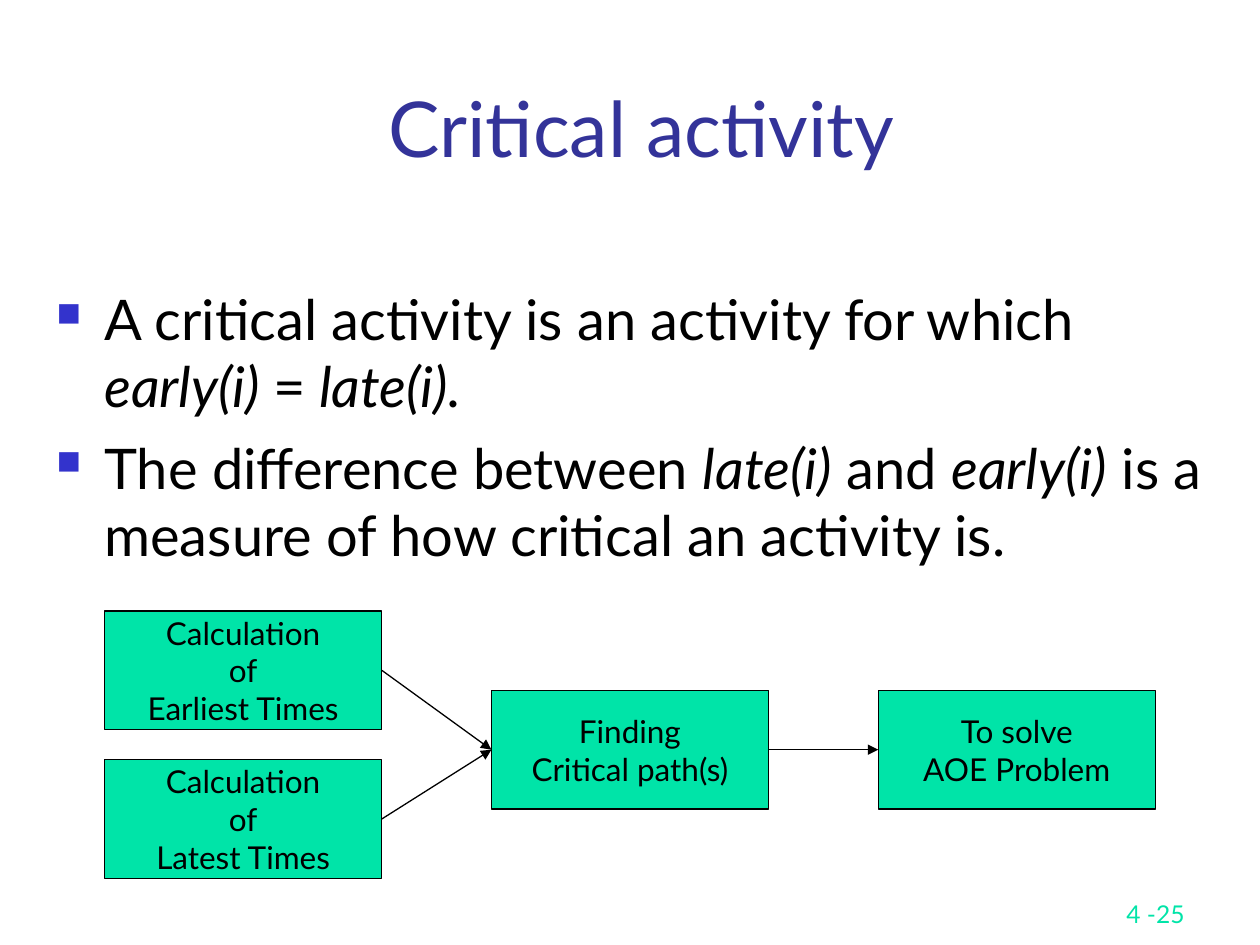
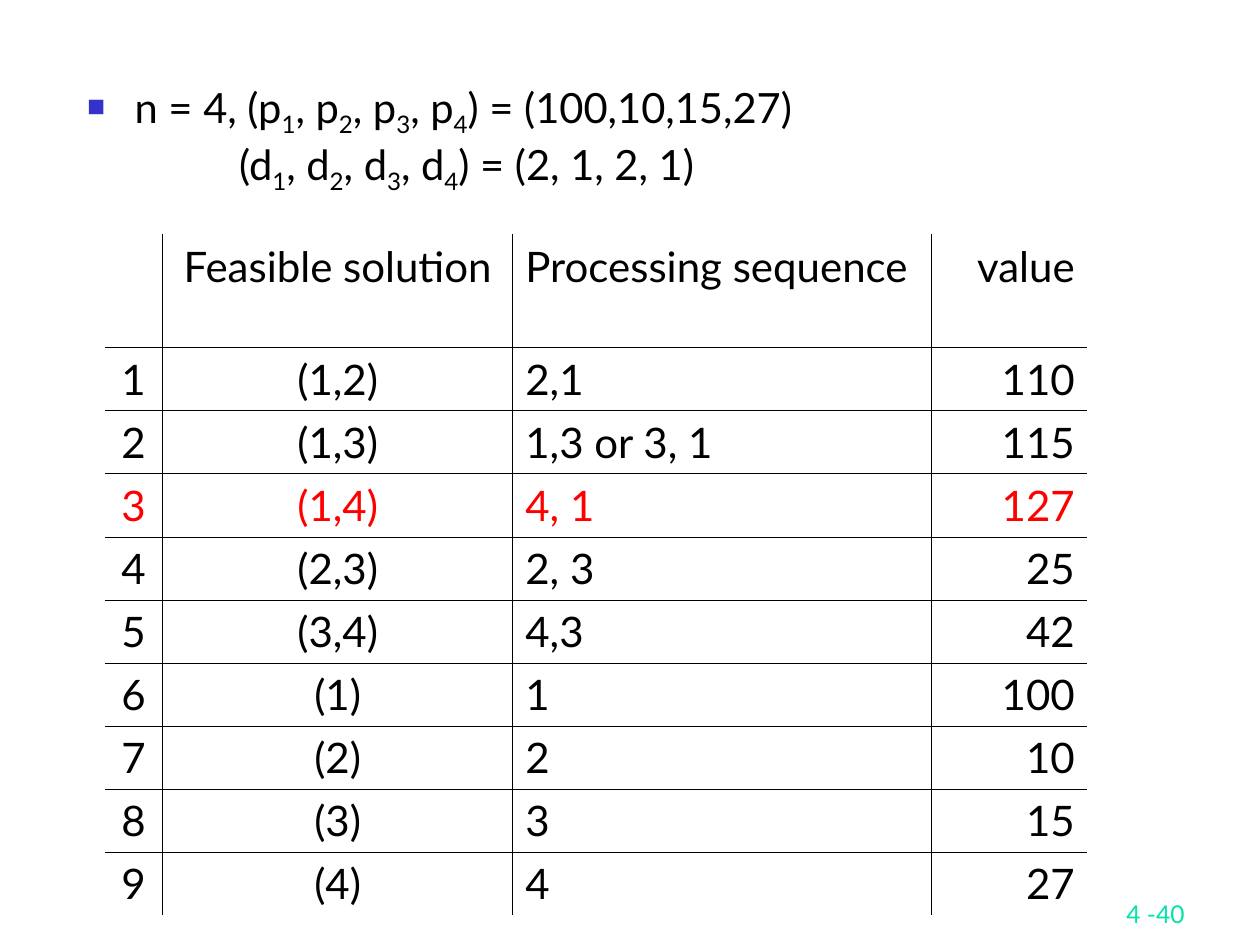
from dataclasses import dataclass
from typing import Any, NamedTuple

import lxml.etree
import pptx
import pptx.dml.color
import pptx.enum.shapes
import pptx.enum.text
import pptx.oxml.ns
import pptx.util

ALIGN = pptx.enum.text.PP_ALIGN
ANCHOR = pptx.enum.text.MSO_ANCHOR
PX = 9144
LEFT, RIGHT = 1, 3


@dataclass(frozen=True)
class Theme:
    font: str = "Lato"
    ink: str = "000000"
    title: str = "333399"
    bullet: str = "3333CC"
    accent: str = "00E4A8"
    highlight: str = "FF0000"
    title_size: float = 44
    body_size: float = 32
    example_size: float = 23.8
    table_size: float = 24
    box_size: float = 18
    footer_size: float = 14
    line_width: float = 0.75
    rule_width: float = 0.45


THEME = Theme()


class Rect(NamedTuple):
    x: int
    y: int
    w: int
    h: int


class Span(NamedTuple):
    text: str
    italic: bool = False
    sub: bool = False


class Style(NamedTuple):
    size: float
    color: str = THEME.ink
    align: Any = ALIGN.LEFT
    before: float = 0


class Step(NamedTuple):
    text: str
    column: int
    y: int


class Column(NamedTuple):
    heading: str
    width: int
    align: Any


FOOTER = Rect(742, 692, 208, 50)
TITLE = Rect(83, 42, 852, 100)
STEP_X, STEP_PITCH, STEP_W, STEP_H = 83, 307, 220, 94
HANGING = 38

STEPS = {
    "earliest": Step("Calculation\nof\nEarliest Times", 0, 485),
    "latest": Step("Calculation\nof\nLatest Times", 0, 603),
    "paths": Step("Finding\nCritical path(s)", 1, 548),
    "solve": Step("To solve\nAOE Problem", 2, 548),
}
ARROWS = [("earliest", "paths"), ("latest", "paths"), ("paths", "solve")]

DEFINITIONS = [
    [
        Span("A critical activity is an activity for which "),
        Span("early(i) ", italic=True),
        Span("="),
        Span(" late(i).", italic=True),
    ],
    [
        Span("The difference between "),
        Span("late(i)", italic=True),
        Span(" and "),
        Span("early(i)", italic=True),
        Span(" is a measure of how critical an activity is."),
    ],
]

COLUMNS = [
    Column("", 46, ALIGN.CENTER),
    Column("Feasible solution", 278, ALIGN.CENTER),
    Column("Processing sequence", 332, ALIGN.LEFT),
    Column("value", 124, ALIGN.RIGHT),
]
SOLUTIONS = [
    ("(1,2)", "2,1", "110"),
    ("(1,3)", "1,3 or 3, 1", "115"),
    ("(1,4)", "4, 1", "127"),
    ("(2,3)", "2, 3", "25"),
    ("(3,4)", "4,3", "42"),
    ("(1)", "1", "100"),
    ("(2)", "2", "10"),
    ("(3)", "3", "15"),
    ("(4)", "4", "27"),
]
BEST_ROW = 3
HEADER_H, ROW_H = 90, 50


def px(n: int) -> int:
    return pptx.util.Emu(n * PX)


def place(rect: Rect) -> list[int]:
    return [px(n) for n in rect]


def rgb(color: str) -> Any:
    return pptx.dml.color.RGBColor.from_string(color)


def apply(target: Any, values: dict[str, Any]) -> None:
    for name, value in values.items():
        setattr(target, name, value)


def child(parent: Any, tag: str, **attrs: str) -> Any:
    node = lxml.etree.SubElement(parent, pptx.oxml.ns.qn(tag))
    for name, value in attrs.items():
        node.set(name, value)
    return node


def write(p: Any, spans: list[Span], style: Style) -> None:
    apply(p, {"alignment": style.align, "space_before": pptx.util.Pt(style.before)})
    for span in spans:
        for i, line in enumerate(span.text.split("\n")):
            if i:
                p.add_line_break()
            r = p.add_run()
            r.text = line
            apply(r.font, {
                "name": THEME.font,
                "size": pptx.util.Pt(style.size),
                "italic": span.italic,
            })
            r.font.color.rgb = rgb(style.color)
            if span.sub:
                r.font._element.set("baseline", "-25000")


def indent(p: Any, left: int, first: int = 0) -> None:
    p_pr = p._p.get_or_add_pPr()
    p_pr.set("marL", str(px(left)))
    p_pr.set("indent", str(px(first)))


def bullet(p: Any) -> None:
    indent(p, HANGING, -HANGING)
    p_pr = p._p.get_or_add_pPr()
    child(child(p_pr, "a:buClr"), "a:srgbClr", val=THEME.bullet)
    child(p_pr, "a:buSzPct", val="60000")
    child(p_pr, "a:buChar", char="■")


def add_text(s: Any, rect: Rect, paragraphs: list[list[Span]], style: Style,
             anchor: Any = ANCHOR.TOP) -> list[Any]:
    tf = s.shapes.add_textbox(*place(rect)).text_frame
    apply(tf, {"word_wrap": True, "vertical_anchor": anchor})
    for i, spans in enumerate(paragraphs):
        write(tf.add_paragraph() if i else tf.paragraphs[0], spans, style)
    return list(tf.paragraphs)


def add_slide(prs: Any, number: int) -> Any:
    s = prs.slides.add_slide(prs.slide_layouts[6])
    style = Style(THEME.footer_size, THEME.accent, ALIGN.RIGHT)
    add_text(s, FOOTER, [[Span(f"4 -{number}")]], style, ANCHOR.BOTTOM)
    return s


def add_step(s: Any, step: Step) -> Any:
    rect = Rect(STEP_X + step.column * STEP_PITCH, step.y, STEP_W, STEP_H)
    kind = pptx.enum.shapes.MSO_SHAPE.FLOWCHART_PROCESS
    sp = s.shapes.add_shape(kind, *place(rect))
    sp.shadow.inherit = False
    sp.fill.solid()
    sp.fill.fore_color.rgb = rgb(THEME.accent)
    sp.line.color.rgb = rgb(THEME.ink)
    sp.line.width = pptx.util.Pt(THEME.line_width)
    apply(sp.text_frame, {"word_wrap": False, "vertical_anchor": ANCHOR.MIDDLE})
    style = Style(THEME.box_size, align=ALIGN.CENTER)
    write(sp.text_frame.paragraphs[0], [Span(step.text)], style)
    return sp


def add_arrow(s: Any, start: Any, end: Any) -> None:
    c = s.shapes.add_connector(pptx.enum.shapes.MSO_CONNECTOR.STRAIGHT, 0, 0, 0, 0)
    c.begin_connect(start, RIGHT)
    c.end_connect(end, LEFT)
    c.line.color.rgb = rgb(THEME.ink)
    c.line.width = pptx.util.Pt(THEME.line_width)
    child(c.line._get_or_add_ln(), "a:tailEnd", type="triangle")
    child(c._element.spPr, "a:effectLst")


def set_borders(cell: Any, inner: dict[str, bool]) -> None:
    tc_pr = cell._tc.get_or_add_tcPr()
    for i, (side, drawn) in enumerate(inner.items()):
        ln = child(tc_pr, f"a:ln{side}", w=str(pptx.util.Pt(THEME.rule_width)))
        if drawn:
            child(child(ln, "a:solidFill"), "a:srgbClr", val=THEME.ink)
        else:
            child(ln, "a:noFill")
        tc_pr.insert(i, ln)


def add_solutions(s: Any, x: int, y: int) -> None:
    rows = [tuple(c.heading for c in COLUMNS)]
    rows += [(str(n), *row) for n, row in enumerate(SOLUTIONS, 1)]
    heights = [HEADER_H] + [ROW_H] * len(SOLUTIONS)
    rect = Rect(x, y, sum(c.width for c in COLUMNS), sum(heights))
    table = s.shapes.add_table(len(rows), len(COLUMNS), *place(rect)).table
    apply(table, {"first_row": False, "horz_banding": False})
    for col, column in zip(table.columns, COLUMNS):
        col.width = px(column.width)
    for i, values in enumerate(rows):
        table.rows[i].height = px(heights[i])
        color = THEME.highlight if i == BEST_ROW else THEME.ink
        for j, text in enumerate(values):
            cell = table.cell(i, j)
            cell.fill.background()
            set_borders(cell, {
                "L": j > 0,
                "R": j < len(COLUMNS) - 1,
                "T": i > 0,
                "B": i < len(rows) - 1,
            })
            if text:
                style = Style(THEME.table_size, color, COLUMNS[j].align, 6)
                write(cell.text_frame.paragraphs[0], [Span(text)], style)


def indexed(lead: str, letter: str, tail: str) -> list[Span]:
    spans = []
    for n in range(1, 5):
        spans += [Span((lead if n == 1 else ", ") + letter), Span(str(n), sub=True)]
    return spans + [Span(tail)]


def critical_activity(prs: Any) -> None:
    s = add_slide(prs, 25)
    style = Style(THEME.title_size, THEME.title, ALIGN.CENTER)
    add_text(s, TITLE, [[Span("Critical activity")]], style, ANCHOR.BOTTOM)
    body = Rect(35, 221, 944, 249)
    for p in add_text(s, body, DEFINITIONS, Style(THEME.body_size, before=8)):
        bullet(p)
    boxes = {name: add_step(s, step) for name, step in STEPS.items()}
    for start, end in ARROWS:
        add_arrow(s, boxes[start], boxes[end])


def job_scheduling(prs: Any) -> None:
    s = add_slide(prs, 40)
    profits = indexed("n = 4, (", "p", ") = (100,10,15,27)")
    deadlines = indexed("(", "d", ") = (2, 1, 2, 1)")
    style = Style(THEME.example_size)
    first, second = add_text(s, Rect(59, 60, 858, 106), [profits, deadlines], style)
    bullet(first)
    indent(second, 121)
    add_solutions(s, 83, 186)


def main() -> None:
    prs = pptx.Presentation()
    apply(prs, {"slide_width": px(1000), "slide_height": px(750)})
    critical_activity(prs)
    job_scheduling(prs)
    prs.save("out.pptx")


if __name__ == "__main__":
    main()
